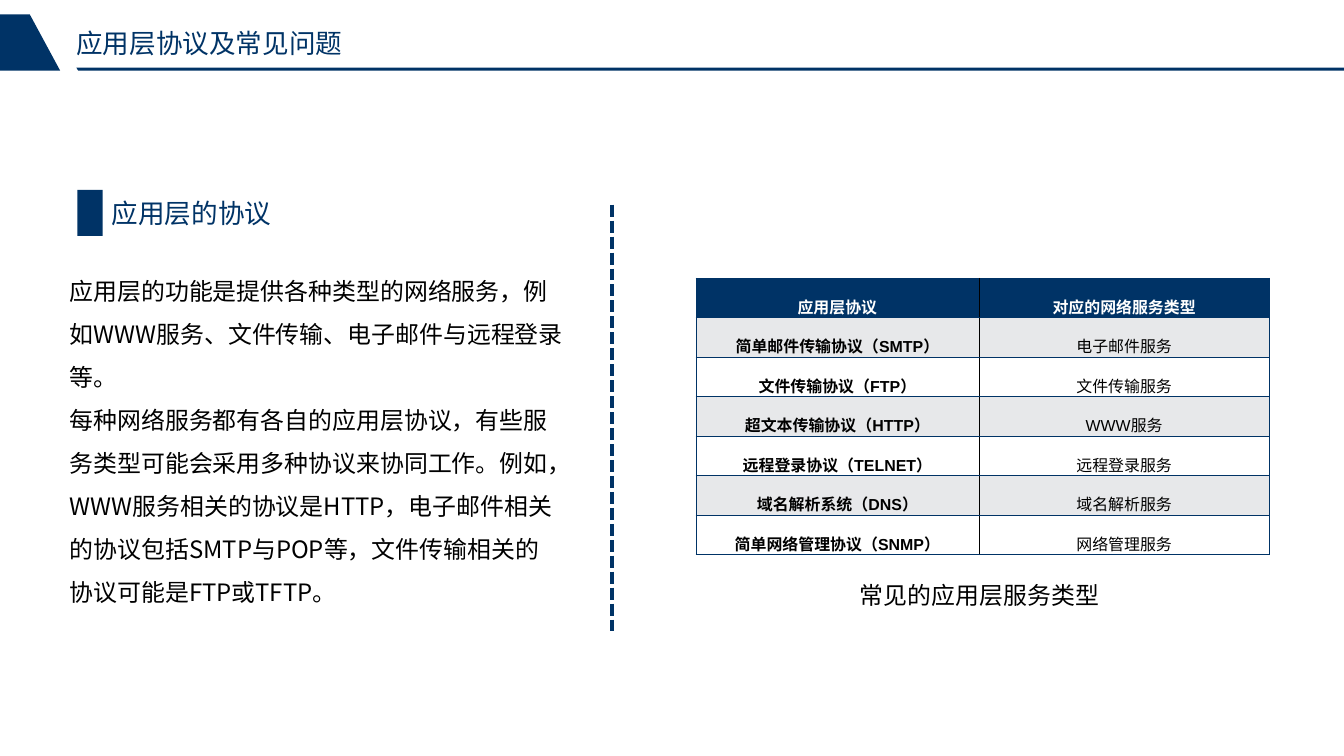
from dataclasses import dataclass, field

from lxml import etree
from pptx import Presentation
from pptx import util as u
from pptx.dml.color import RGBColor
from pptx.enum import dml, shapes, text
from pptx.oxml import ns

NAVY = RGBColor(0x00, 0x33, 0x66)
GREY = RGBColor(0xE7, 0xE8, 0xEA)
WHITE = RGBColor(0xFF, 0xFF, 0xFF)
BLACK = RGBColor(0x00, 0x00, 0x00)
SANS = "Noto Sans CJK SC"
PAD = (0.25, 0.13)


@dataclass
class Note:
    box: tuple[float, float, float, float]
    lines: list[str]
    size: int = 18
    color: RGBColor = BLACK
    pad: tuple[float, float] = PAD
    wrap: bool = True
    para: dict = field(default_factory=dict)


NOTES = [
    Note((2.03, 0.71, 8.51, 2.08), ["应用层协议及常见问题"], 20, NAVY, (0, 0),
         para={"space_after": u.Pt(6)}),
    Note((2.72, 5.11, 5.03, 1.12), ["应用层的协议"], 20, NAVY),
    Note((1.6, 6.83, 13.61, 9.4), [
        "应用层的功能是提供各种类型的网络服务，例如WWW服务、文件传输、电子邮件与远程登录等。",
        "每种网络服务都有各自的应用层协议，有些服务类型可能会采用多种协议来协同工作。"
        "例如，WWW服务相关的协议是HTTP，电子邮件相关的协议包括SMTP与POP等，"
        "文件传输相关的协议可能是FTP或TFTP。",
    ], para={"line_spacing": 1.5}),
    Note((22.6, 15.29, 6.86, 1.02), ["常见的应用层服务类型"], wrap=False),
]

SHAPES = [
    [(2.03, 1.8), (35.71, 1.8), (35.71, 1.88), (2.08, 1.88)],  # title rule
    [(0.79, 0.38), (1.6, 1.88), (0, 1.88), (0, 0.38)],  # corner tab
]

ROWS = [
    ("应用层协议", "对应的网络服务类型"),
    ("简单邮件传输协议（SMTP）", "电子邮件服务"),
    ("文件传输协议（FTP）", "文件传输服务"),
    ("超文本传输协议（HTTP）", "WWW服务"),
    ("远程登录协议（TELNET）", "远程登录服务"),
    ("域名解析系统（DNS）", "域名解析服务"),
    ("简单网络管理协议（SNMP）", "网络管理服务"),
]
WIDTHS = (7.52, 7.72)
HEIGHT = 1.05


def apply(item, form: dict) -> None:
    for key, val in form.items():
        setattr(item, key, val)


def write(para, words: str, color: RGBColor, font: dict) -> None:
    run = para.add_run()
    run.text = words
    run.font.color.rgb = color
    apply(run.font, font)
    asian = etree.SubElement(run._r.get_or_add_rPr(), ns.qn("a:ea"))
    asian.set("typeface", SANS)


def paint(shape) -> None:
    shape.shadow.inherit = False
    shape.fill.solid()
    shape.fill.fore_color.rgb = NAVY
    shape.line.fill.background()


def draw_note(slide, note: Note) -> None:
    frame = slide.shapes.add_textbox(*map(u.Cm, note.box)).text_frame
    side, edge = map(u.Cm, note.pad)
    apply(frame, {"word_wrap": note.wrap,
                  "auto_size": text.MSO_AUTO_SIZE.SHAPE_TO_FIT_TEXT,
                  "margin_left": side, "margin_right": side,
                  "margin_top": edge, "margin_bottom": edge})
    for num, line in enumerate(note.lines):
        para = frame.add_paragraph() if num else frame.paragraphs[0]
        apply(para, note.para)
        write(para, line, note.color, {"size": u.Pt(note.size), "name": SANS})


def draw_poly(slide, points: list[tuple[float, float]]) -> None:
    start, *rest = [(u.Cm(x), u.Cm(y)) for x, y in points]
    form = slide.shapes.build_freeform(*start)
    form.add_line_segments(rest)
    paint(form.convert_to_shape())


def add_edge(cell, side: str, color: RGBColor) -> None:
    line = etree.SubElement(cell._tc.get_or_add_tcPr(), ns.qn(f"a:ln{side}"))
    line.set("w", str(u.Pt(0.45)))
    fill = etree.SubElement(line, ns.qn("a:solidFill"))
    etree.SubElement(fill, ns.qn("a:srgbClr")).set("val", str(color))


def draw_cell(cell, words: str, row: int, col: int) -> None:
    head = row == 0
    inner = "R" if col == 0 else "L"
    for side in "LRTB":
        add_edge(cell, side, BLACK if side == inner else NAVY)
    cell.fill.solid()
    cell.fill.fore_color.rgb = NAVY if head else GREY if row % 2 else WHITE
    apply(cell, {"vertical_anchor": text.MSO_ANCHOR.MIDDLE,
                 "margin_left": u.Cm(0.2), "margin_right": u.Cm(0.2),
                 "margin_top": u.Cm(0.13), "margin_bottom": u.Cm(0.13)})
    para = cell.text_frame.paragraphs[0]
    apply(para, {"alignment": text.PP_ALIGN.CENTER, "line_spacing": 1.5})
    write(para, words, WHITE if head else BLACK,
          {"size": u.Pt(12), "name": "Arial", "bold": head or col == 0})


def draw_table(slide) -> None:
    box = (18.49, 7.39, sum(WIDTHS), HEIGHT * len(ROWS))
    table = slide.shapes.add_table(len(ROWS), len(WIDTHS), *map(u.Cm, box)).table
    for col, width in enumerate(WIDTHS):
        table.columns[col].width = u.Cm(width)
    for row, words in enumerate(ROWS):
        table.rows[row].height = u.Cm(HEIGHT)
        for col, word in enumerate(words):
            draw_cell(table.cell(row, col), word, row, col)


def draw_split(slide) -> None:
    ends = map(u.Cm, (16.26, 5.44, 16.26, 16.76))
    split = slide.shapes.add_connector(shapes.MSO_CONNECTOR.STRAIGHT, *ends)
    split.line.color.rgb = NAVY
    apply(split.line, {"width": u.Pt(3),
                       "dash_style": dml.MSO_LINE.SQUARE_DOT})
    etree.SubElement(split._element.spPr, ns.qn("a:effectLst"))


def main() -> None:
    deck = Presentation()
    apply(deck, {"slide_width": u.Cm(35.71), "slide_height": u.Cm(20.09)})
    slide = deck.slides.add_slide(deck.slide_layouts[6])

    # Header shapes and heading marker
    for points in SHAPES:
        draw_poly(slide, points)
    mark = map(u.Cm, (2.06, 5.05, 0.67, 1.22))
    paint(slide.shapes.add_shape(shapes.MSO_SHAPE.RECTANGLE, *mark))

    # Title, heading, body and caption
    for note in NOTES:
        draw_note(slide, note)

    # Protocol table and divider
    draw_table(slide)
    draw_split(slide)
    deck.save("out.pptx")


if __name__ == "__main__":
    main()
